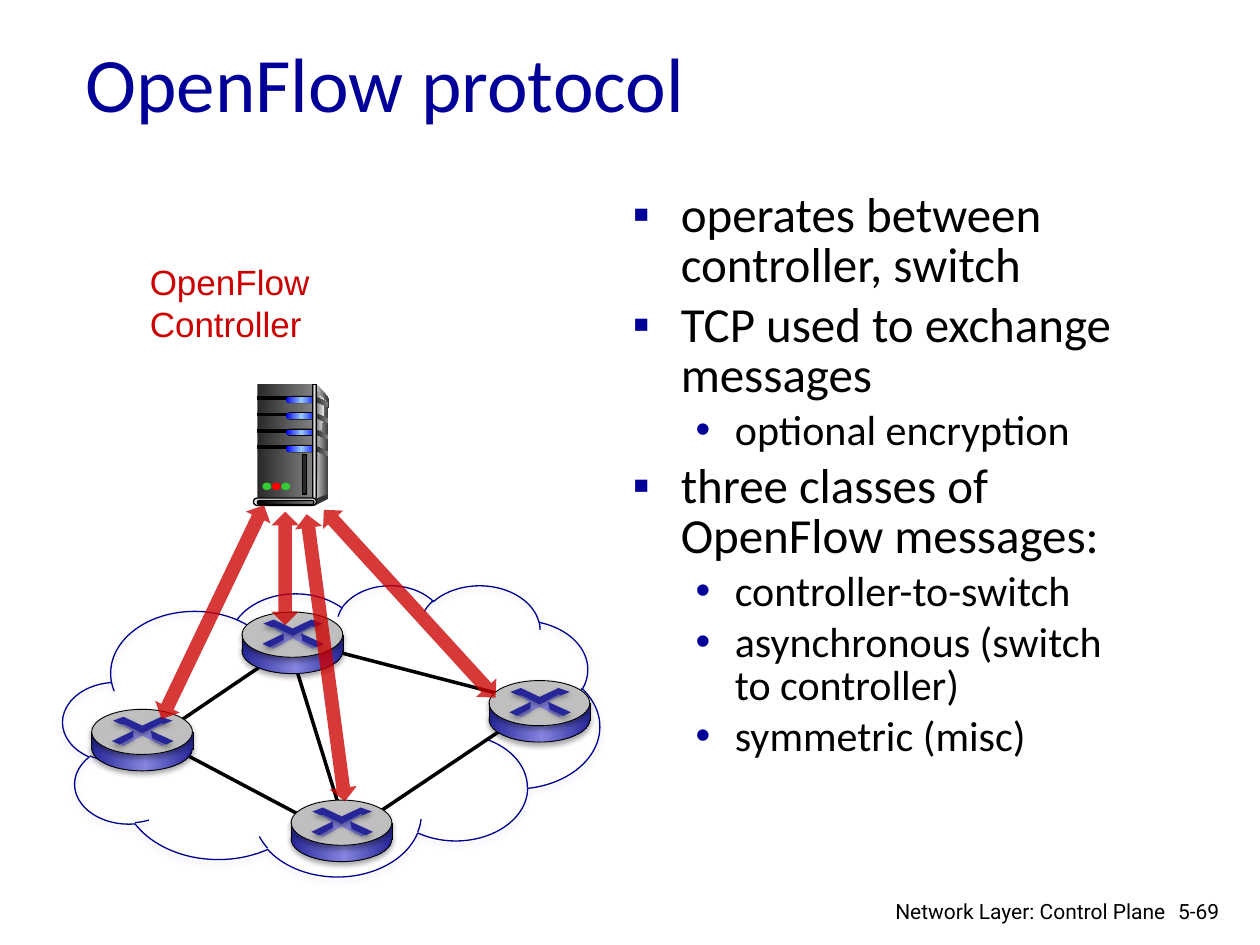
from dataclasses import dataclass

from lxml import etree
from pptx import Presentation
from pptx.dml.color import RGBColor
from pptx.enum.shapes import MSO_CONNECTOR, MSO_SHAPE
from pptx.enum.text import MSO_ANCHOR, MSO_AUTO_SIZE, PP_ALIGN
from pptx.oxml.ns import qn
from pptx.util import Cm, Pt

RECT, ROUND, OVAL = MSO_SHAPE.RECTANGLE, MSO_SHAPE.ROUNDED_RECTANGLE, MSO_SHAPE.OVAL
CLOUD, TWO_WAY = MSO_SHAPE.CLOUD, MSO_SHAPE.UP_DOWN_ARROW
STRAIGHT = MSO_CONNECTOR.STRAIGHT
LEFT, RIGHT = PP_ALIGN.LEFT, PP_ALIGN.RIGHT


@dataclass(frozen=True)
class Theme:
    navy: str = "000099"
    cloud: str = "000090"
    cloud_shadow: str = "A5A5E9"
    red: str = "CC0000"
    black: str = "000000"
    router_top: str = "BFBFBF"
    router_dark: str = "262699"
    router_pale: str = "8585E0"
    steel: str = "DDDDDD"
    iron: str = "333333"
    coal: str = "292929"
    router_side: tuple = ((0, "262699"), (53, "8585E0"), (100, "262699"))
    slot_glow: tuple = ((0, "0000FF"), (50, "99CCFF"), (100, "0000FF"))
    case: tuple = ((0, "292929"), (100, "808080"))
    case_side: tuple = ((0, "DDDDDD"), (100, "333333"))
    case_shine: tuple = ((0, "808080"), (100, "F8F8F8"))
    case_edge: tuple = ((0, "333333"), (50, "DDDDDD"), (100, "333333"))
    base: tuple = ((0, "000000"), (100, "808080"))
    lights: tuple = ("33CC33", "FF0000", "33CC33")
    sizes: tuple = (28, 24)
    title_size: int = 44
    label_size: int = 20
    footer_size: int = 12


THEME = Theme()


def add_xml(parent, tag, **attributes):
    return etree.SubElement(parent, qn(tag), {k: str(v) for k, v in attributes.items()})


def add_shadow(effects, color, alpha=35, blur=3.1, distance=1.8):
    shadow = add_xml(effects, "a:outerShdw", blurRad=Pt(blur), dist=Pt(distance),
                     dir=5400000, rotWithShape=0)
    add_xml(add_xml(shadow, "a:srgbClr", val=color), "a:alpha", val=alpha * 1000)


def paint(shape, fill=None, line=None, line_width=0.75, shadow=None):
    """Fill with a colour, with (percent, colour) stops, or not at all."""
    if fill is None:
        shape.fill.background()
    elif isinstance(fill, str):
        shape.fill.solid()
        shape.fill.fore_color.rgb = RGBColor.from_string(fill)
    else:
        shape.fill.gradient()
        shape.fill.gradient_angle = 0
        stops = shape._element.spPr.find(qn("a:gradFill")).find(qn("a:gsLst"))
        stops.clear()
        for percent, color in fill:
            add_xml(add_xml(stops, "a:gs", pos=percent * 1000), "a:srgbClr", val=color)
    if line:
        shape.line.color.rgb = RGBColor.from_string(line)
        shape.line.width = Pt(line_width)
    else:
        shape.line.fill.background()
    shape.shadow.inherit = False
    if shadow:
        add_shadow(shape._element.spPr.find(qn("a:effectLst")), shadow)
    return shape


@dataclass(frozen=True)
class Region:
    """Places parts, in centimetres, relative to its top left corner."""
    shapes: object
    left: float
    top: float

    def inner(self, x, y):
        return Region(self.shapes, self.left + x, self.top + y)

    def point(self, x, y):
        return Cm(self.left + x), Cm(self.top + y)

    def shape(self, kind, x, y, width, height, **look):
        part = self.shapes.add_shape(kind, *self.point(x, y), Cm(width), Cm(height))
        if kind == ROUND:
            part.adjustments[0] = 0.5
        return paint(part, **look)

    def polygon(self, corners, **look):
        first, *rest = [self.point(*corner) for corner in corners]
        builder = self.shapes.build_freeform(*first)
        builder.add_line_segments(rest, close=True)
        return paint(builder.convert_to_shape(), **look)

    def line(self, start, end, width, shadow=None):
        link = self.shapes.add_connector(STRAIGHT, *self.point(*start), *self.point(*end))
        link.line.color.rgb = RGBColor.from_string(THEME.black)
        link.line.width = Pt(width)
        effects = add_xml(link._element.spPr, "a:effectLst")
        if shadow:
            add_shadow(effects, shadow, alpha=38, distance=1.6)

    def text(self, words, width, height, size, font, color, align=LEFT):
        frame = self.shapes.add_textbox(*self.point(0, 0), Cm(width), Cm(height)).text_frame
        frame.word_wrap = True
        write(frame.paragraphs[0], words, color, {"size": Pt(size), "name": font}, align)


def write(paragraph, words, color, font, align=LEFT):
    paragraph.text = words
    paragraph.alignment = align
    for run in paragraph.runs:
        for key, value in font.items():
            setattr(run.font, key, value)
        run.font.color.rgb = RGBColor.from_string(color)


def move(placeholder, left, top, width, height):
    box = {"left": left, "top": top, "width": width, "height": height}
    for key, value in box.items():
        setattr(placeholder, key, Cm(value))
    placeholder.text_frame.auto_size = MSO_AUTO_SIZE.NONE


def fill_title(title, words, box):
    move(title, *box)
    title.text_frame.vertical_anchor = MSO_ANCHOR.MIDDLE
    write(title.text_frame.paragraphs[0], words, THEME.navy,
          {"size": Pt(THEME.title_size), "name": "Calibri"})


def fill_list(body, items, box):
    move(body, *box)
    frame = body.text_frame
    for number, (level, words) in enumerate(items):
        paragraph = frame.add_paragraph() if number else frame.paragraphs[0]
        margin, hanging, bullet = ((0.97, 0.97, "▪"), (2.06, 0.79, "•"))[level]
        size = THEME.sizes[level]
        paragraph.level = level
        properties = paragraph._p.get_or_add_pPr()
        properties.set("marL", str(Cm(margin)))
        properties.set("indent", str(-Cm(hanging)))
        add_xml(add_xml(properties, "a:buClr"), "a:srgbClr", val=THEME.navy)
        add_xml(properties, "a:buFont", typeface="Arial")
        add_xml(properties, "a:buChar", char=bullet)
        paragraph.line_spacing = 0.85
        paragraph.space_before = Pt(0.2 * size if number else 0)
        write(paragraph, words, THEME.black, {"size": Pt(size), "name": "Calibri"})


def draw_server(region):
    region.polygon([(1.27, 0), (1.52, 0.28), (1.5, 2.24), (1.22, 2.34)], fill=THEME.case_side)
    region.shape(RECT, 0.08, 0, 1.12, 2.34, fill=THEME.case)
    region.polygon([(1.27, 0.13), (1.45, 0.33), (1.3, 1.3), (1.27, 2.26)],
                   fill=THEME.case_shine)
    for row in range(4):
        y = 0.25 + 0.33 * row
        region.shape(RECT, 0.08, y, 0.64, 0.05, fill=THEME.black, line=THEME.black)
        region.shape(ROUND, 0.66, y - 0.02, 0.61, 0.15, fill=THEME.black)
        region.shape(ROUND, 0.66, y, 0.61, 0.12, fill=THEME.slot_glow)
        region.polygon([(1.25, y), (1.51, y + 0.12), (1.5, y + 0.2), (1.25, y + 0.09)],
                       fill=THEME.case)
    region.shape(RECT, 1.19, 0, 0.08, 2.34, fill=THEME.case_edge, line=THEME.black)
    region.polygon([(1.24, 2.31), (1.24, 2.44), (1.5, 2.31), (1.5, 2.21)], fill=THEME.iron)
    region.shape(ROUND, 0, 2.29, 1.27, 0.15, fill=THEME.steel, line=THEME.black)
    region.shape(ROUND, 0.08, 2.34, 1.14, 0.08, fill=THEME.base, line=THEME.black)
    for number, color in enumerate(THEME.lights):
        region.shape(OVAL, 0.18 + 0.19 * number, 1.98, 0.18, 0.15, fill=color)
    region.shape(RECT, 0.99, 1.42, 0.08, 0.79, fill=THEME.coal, line=THEME.black)


def draw_router(region):
    rim = {"line": THEME.black, "line_width": 0.5, "shadow": THEME.black}
    region.shape(OVAL, 0, 0.33, 2.03, 0.91, fill=THEME.router_side, **rim)
    region.shape(RECT, 0, 0.46, 2.06, 0.33, fill=THEME.router_side)
    region.shape(OVAL, 0, 0, 2.03, 0.91, fill=THEME.router_top, **rim)
    region.polygon([(1.02, 0.53), (0.64, 0.74), (0.53, 0.69), (0.84, 0.56), (0.81, 0.43),
                    (0.58, 0.3), (0.66, 0.28), (1.02, 0.43), (1.37, 0.28), (1.47, 0.3),
                    (1.22, 0.41), (1.27, 0.58), (1.52, 0.69), (1.42, 0.74)],
                   fill=THEME.router_pale)
    for arms in (
        [(0.43, 0.23), (0.64, 0.15), (1.02, 0.33), (1.4, 0.15), (1.63, 0.23),
         (1.45, 0.3), (1.4, 0.28), (1.02, 0.48), (0.66, 0.3), (0.58, 0.3)],
        [(1.19, 0.43), (1.65, 0.64), (1.5, 0.71), (1.22, 0.58)],
        [(0.84, 0.43), (0.84, 0.56), (0.56, 0.71), (0.41, 0.64)],
    ):
        region.polygon(arms, fill=THEME.router_dark, shadow=THEME.black)
    for x in (0, 2.05):
        region.line((x, 0.81), (x, 0.46), 0.5, shadow=THEME.black)


def draw_network(region):
    region.shape(CLOUD, 0, 0, 10.82, 5.87, line=THEME.cloud, shadow=THEME.cloud_shadow)
    for start, end in (((1.85, 3.09), (5.21, 0.81)), ((1.85, 3.09), (5.21, 4.87)),
                       ((4.65, 1.52), (5.54, 4.39)), ((5.41, 1.32), (9.04, 2.26)),
                       ((5.94, 4.87), (9.04, 2.79))):
        region.line(start, end, 2)
    for corner in ((4.6, 4.34), (8.59, 1.93), (0.58, 2.51), (3.61, 0.55)):
        draw_router(region.inner(*corner))


def draw_messages(region):
    """Two-way arrows, each given by its centre, length and turn."""
    width = 0.55
    for x, y, length, turn in ((5.3, 1.47, 5.84, 352.4), (4.48, -0.33, 2.29, 0),
                               (6.99, 0.38, 5.13, 317.6), (3.02, 0.55, 4.78, 25.6)):
        arrow = region.shape(TWO_WAY, x - width / 2, y - length / 2, width, length,
                             fill=THEME.red)
        arrow.rotation = turn
        add_xml(arrow._element.spPr.find(qn("a:solidFill"))[0], "a:alpha", val=78000)


def main():
    deck = Presentation()
    deck.slide_width, deck.slide_height = Cm(25.4), Cm(19.05)
    slide = deck.slides.add_slide(deck.slide_layouts[1])
    page = Region(slide.shapes, 0, 0)
    fill_title(slide.shapes.title, "OpenFlow protocol", (1.47, 0.05, 21.59, 3.18))
    fill_list(slide.placeholders[1], [
        (0, "operates between controller, switch"),
        (0, "TCP used to exchange messages"),
        (1, "optional encryption"),
        (0, "three classes of OpenFlow messages:"),
        (1, "controller-to-switch"),
        (1, "asynchronous (switch to controller)"),
        (1, "symmetric (misc)"),
    ], (12.5, 3.76, 10.59, 12.9))
    network = page.inner(1.27, 11.79)
    draw_network(network)
    draw_server(page.inner(5.11, 7.75))
    page.inner(2.77, 5.13).text("OpenFlow\vController", 6.83, 1.95, THEME.label_size,
                                "Arial", THEME.red)
    draw_messages(network)
    footer = (THEME.footer_size, "Roboto", THEME.black)
    page.inner(23.5, 17.98).text("5-69", 1.52, 0.76, *footer)
    page.inner(17.7, 17.98).text("Network Layer: Control Plane", 6.05, 0.66, *footer, RIGHT)
    deck.save("out.pptx")


if __name__ == "__main__":
    main()
